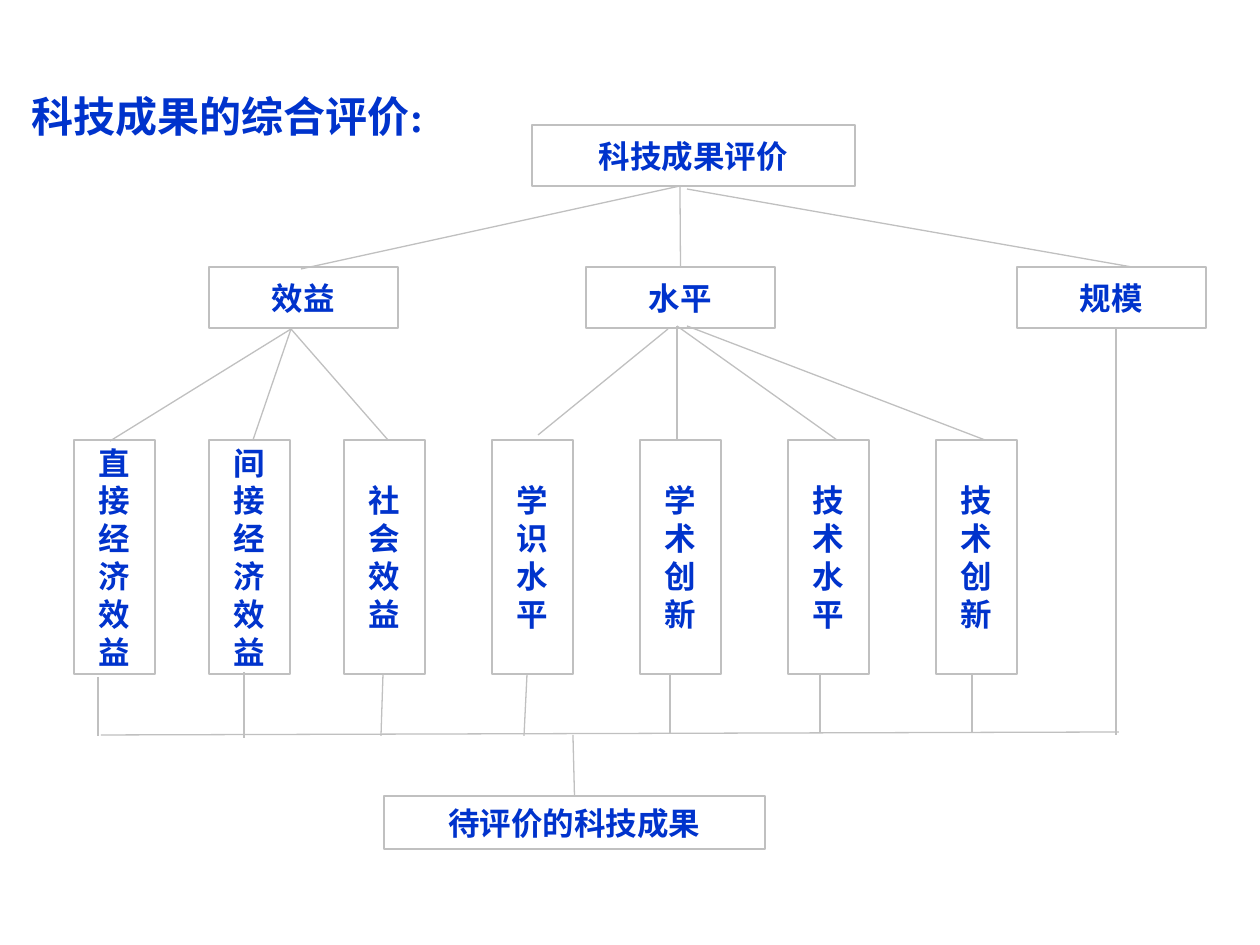
from lxml.etree import SubElement
from pptx import Presentation
from pptx.dml.color import RGBColor
from pptx.enum.shapes import MSO_CONNECTOR, MSO_SHAPE
from pptx.enum.text import MSO_ANCHOR, MSO_AUTO_SIZE, PP_ALIGN
from pptx.oxml.ns import qn
from pptx.util import Emu, Pt

TOP = 0


def px(length):
    return Emu(round(length * 914400 / 126))


def color(hex_string):
    return RGBColor.from_string(hex_string)


class Diagram:
    font_name = "Times New Roman"
    text_color = "0033CC"
    line_color = "C0C0C0"

    def __init__(self, slide):
        self.slide = slide

    def format_text(self, text_frame, size, alignment, anchor):
        text_frame.word_wrap = False
        text_frame.vertical_anchor = anchor
        for paragraph in text_frame.paragraphs:
            paragraph.alignment = alignment
            for run in paragraph.runs:
                run.font.name = self.font_name
                run.font.size = Pt(size)
                run.font.bold = True
                run.font.color.rgb = color(self.text_color)

    def format_line(self, line):
        line.color.rgb = color(self.line_color)
        line.width = Pt(0.75)

    def title(self, text, left, top, width, height):
        shape = self.slide.shapes.title
        shape.left, shape.top = px(left), px(top)
        shape.width, shape.height = px(width), px(height)
        shape.text_frame.text = text
        shape.text_frame.auto_size = MSO_AUTO_SIZE.SHAPE_TO_FIT_TEXT
        self.format_text(shape.text_frame, 24, PP_ALIGN.LEFT, MSO_ANCHOR.TOP)

    def box(self, text, left, top, width, height):
        shape = self.slide.shapes.add_shape(
            MSO_SHAPE.RECTANGLE, px(left), px(top), px(width), px(height))
        shape.shadow.inherit = False
        shape.fill.background()
        self.format_line(shape.line)
        shape.text_frame.text = text
        self.format_text(shape.text_frame, 18, PP_ALIGN.CENTER, MSO_ANCHOR.MIDDLE)
        return shape

    def line(self, x1, y1, x2, y2, end_shape=None):
        connector = self.slide.shapes.add_connector(
            MSO_CONNECTOR.STRAIGHT, px(x1), px(y1), px(x2), px(y2))
        self.format_line(connector.line)
        SubElement(connector._element.spPr, qn("a:effectLst"))
        if end_shape is not None:
            connector.end_connect(end_shape, TOP)


def main():
    presentation = Presentation()
    presentation.slide_width, presentation.slide_height = px(1260), px(945)
    diagram = Diagram(presentation.slides.add_slide(presentation.slide_layouts[5]))

    diagram.title("科技成果的综合评价:", 19, 84, 427, 63)

    # Root and its three criteria
    diagram.box("科技成果评价", 532, 125, 323, 61)
    criteria = {}
    for name, left in (("效益", 209), ("水平", 586), ("规模", 1017)):
        criteria[name] = diagram.box(name, left, 267, 189, 61)

    # Indicators, one character per paragraph
    groups = (
        (74, 135, ("直接经济效益", "间接经济效益", "社会效益")),
        (492, 148, ("学识水平", "学术创新", "技术水平", "技术创新")),
    )
    for first_left, step, names in groups:
        for index, name in enumerate(names):
            diagram.box("\n".join(name), first_left + index * step, 440, 81, 234)

    # Object under evaluation
    subject = diagram.box("待评价的科技成果", 384, 796, 381, 53)

    # Branches from the root to the criteria
    diagram.line(680, 186, 301, 269)
    diagram.line(680, 186, 680, 267, criteria["水平"])
    diagram.line(687, 189, 1132, 267)

    # Branches from the criteria to the indicators
    for x, y in ((110, 441), (253, 440), (388, 440)):
        diagram.line(291, 329, x, y)
    for x1, y1, x2, y2 in ((668, 329, 538, 435), (677, 326, 677, 440),
                           (677, 326, 837, 440), (687, 326, 985, 440)):
        diagram.line(x1, y1, x2, y2)

    # Collecting line, with the stems that reach it
    diagram.line(101, 735, 1119, 732)
    diagram.line(1116, 735, 1116, 329)
    for x1, y1, x2, y2 in ((98, 677, 98, 736), (244, 672, 244, 738),
                           (383, 675, 381, 736), (527, 675, 524, 736),
                           (670, 675, 670, 734), (820, 673, 820, 733),
                           (972, 675, 972, 733)):
        diagram.line(x1, y1, x2, y2)
    diagram.line(573, 735, 573, 796, subject)

    presentation.save("out.pptx")


if __name__ == "__main__":
    main()
